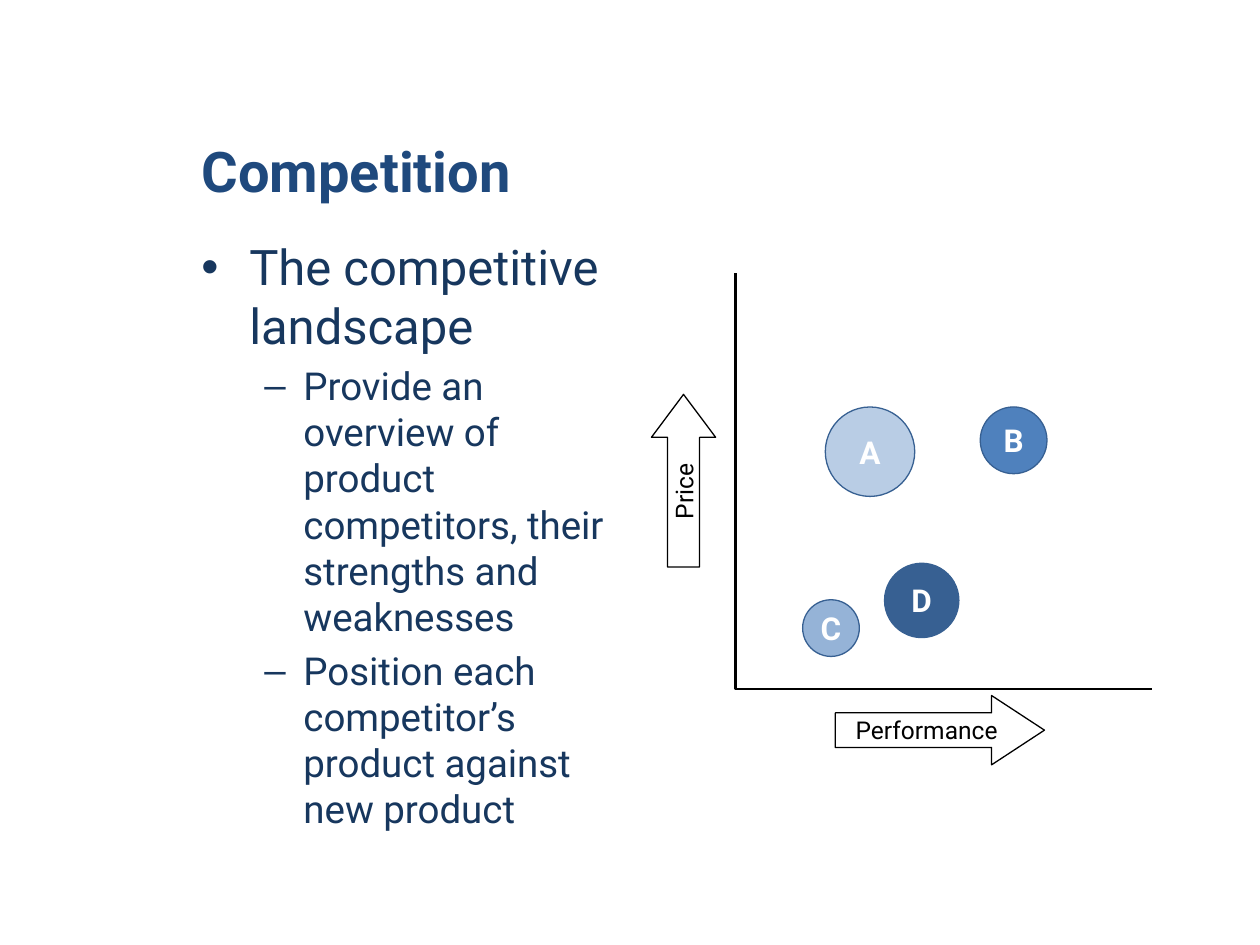
from lxml import etree
from pptx import Presentation
from pptx.dml.color import RGBColor
from pptx.enum import shapes, text
from pptx.oxml import ns
from pptx.util import Inches, Pt

FONT = "Roboto"
WHITE = RGBColor(0xFF, 0xFF, 0xFF)
BLACK = RGBColor(0, 0, 0)
NAVY = RGBColor(0x1F, 0x49, 0x7D)
INK = RGBColor(0x17, 0x37, 0x5E)
DEEP = RGBColor(0x37, 0x60, 0x92)
BLUE = RGBColor(0x4F, 0x81, 0xBD)
SOFT = RGBColor(0x95, 0xB3, 0xD7)
PALE = RGBColor(0xB9, 0xCD, 0xE5)

POINTS = [
    (0, "The competitive landscape"),
    (1, "Provide an overview of product competitors, their strengths "
        "and weaknesses"),
    (1, "Position each competitor\u2019s product against new product"),
]
# Bullet, size, left margin, hanging indent for each level
LEVELS = [("\u2022", 28, 0.38, 0.38), ("\u2013", 22, 0.81, 0.31)]

# Name, left, top, diameter, fill
RIVALS = [
    ("A", 6.55, 3.23, 0.71, PALE),
    ("B", 7.78, 3.23, 0.53, BLUE),
    ("C", 6.37, 4.76, 0.45, SOFT),
    ("D", 7.02, 4.47, 0.59, DEEP),
]
# Label, box, head length, rotation
ARROWS = [
    ("Performance", (6.63, 5.52, 1.66, 0.55), 0.763, 0),
    ("Price", (4.74, 3.56, 1.37, 0.51), 0.668, 270),
]


def style(para, size, color, bold=False):
    for run in para.runs:
        font = run.font
        font.name, font.size, font.bold = FONT, Pt(size), bold
        font.color.rgb = color


def add_title(slide, words):
    title = slide.shapes.title
    title.left, title.top = Inches(1.5), Inches(0.42)
    title.width, title.height = Inches(7.5), Inches(1.25)
    frame = title.text_frame
    frame.text = words
    frame.auto_size = text.MSO_AUTO_SIZE.NONE
    frame.vertical_anchor = text.MSO_ANCHOR.BOTTOM
    para = frame.paragraphs[0]
    para.alignment = text.PP_ALIGN.LEFT
    style(para, 32, NAVY, True)


def add_bullet(para, mark, margin, hang):
    props = para._p.get_or_add_pPr()
    props.set("marL", str(Inches(margin)))
    props.set("indent", str(-Inches(hang)))
    font = etree.SubElement(props, ns.qn("a:buFont"))
    font.set("typeface", "Arial")
    etree.SubElement(props, ns.qn("a:buChar")).set("char", mark)


def add_list(slide, points):
    box = slide.shapes.add_textbox(
        Inches(1.5), Inches(1.83), Inches(3.42), Inches(5.17))
    frame = box.text_frame
    frame.word_wrap = True
    for i, (level, words) in enumerate(points):
        para = frame.add_paragraph() if i else frame.paragraphs[0]
        mark, size, margin, hang = LEVELS[level]
        para.text = words
        para.level = level
        para.space_before = Pt(size * 0.2)
        style(para, size, INK)
        add_bullet(para, mark, margin, hang)


def add_label(slide, kind, box, words, fill, line, size, color, bold=False):
    shape = slide.shapes.add_shape(kind, *map(Inches, box))
    shape.shadow.inherit = False
    shape.fill.solid()
    shape.fill.fore_color.rgb = fill
    shape.line.color.rgb = line
    shape.line.width = Pt(0.75)
    frame = shape.text_frame
    frame.margin_left = frame.margin_right = 0
    frame.margin_top = frame.margin_bottom = 0
    frame.word_wrap = False
    frame.vertical_anchor = text.MSO_ANCHOR.MIDDLE
    frame.text = words
    para = frame.paragraphs[0]
    para.alignment = text.PP_ALIGN.CENTER
    style(para, size, color, bold)
    return shape


def add_axes(slide, left, top, size):
    low = top + size
    build = slide.shapes.build_freeform(Inches(left), Inches(top))
    build.add_line_segments(
        [(Inches(left), Inches(low)), (Inches(left + size), Inches(low))],
        close=False)
    axes = build.convert_to_shape()
    axes.shadow.inherit = False
    axes.fill.background()
    axes.line.color.rgb = BLACK
    axes.line.width = Pt(1.5)


def main():
    deck = Presentation()
    deck.slide_width, deck.slide_height = Inches(10), Inches(7.5)
    slide = deck.slides.add_slide(deck.slide_layouts[5])
    slide.background.fill.solid()
    slide.background.fill.fore_color.rgb = WHITE

    # Heading and points
    add_title(slide, "Competition")
    add_list(slide, POINTS)

    # Competitor map
    kind = shapes.MSO_SHAPE
    for name, left, top, size, fill in RIVALS:
        add_label(slide, kind.OVAL, (left, top, size, size), name,
                  fill, DEEP, 18, WHITE, True)
    add_axes(slide, 5.84, 2.17, 3.3)
    for name, box, head, turn in ARROWS:
        arrow = add_label(slide, kind.RIGHT_ARROW, box, name,
                          WHITE, BLACK, 14, BLACK)
        arrow.adjustments[1] = head
        arrow.rotation = turn

    deck.save("out.pptx")


main()
